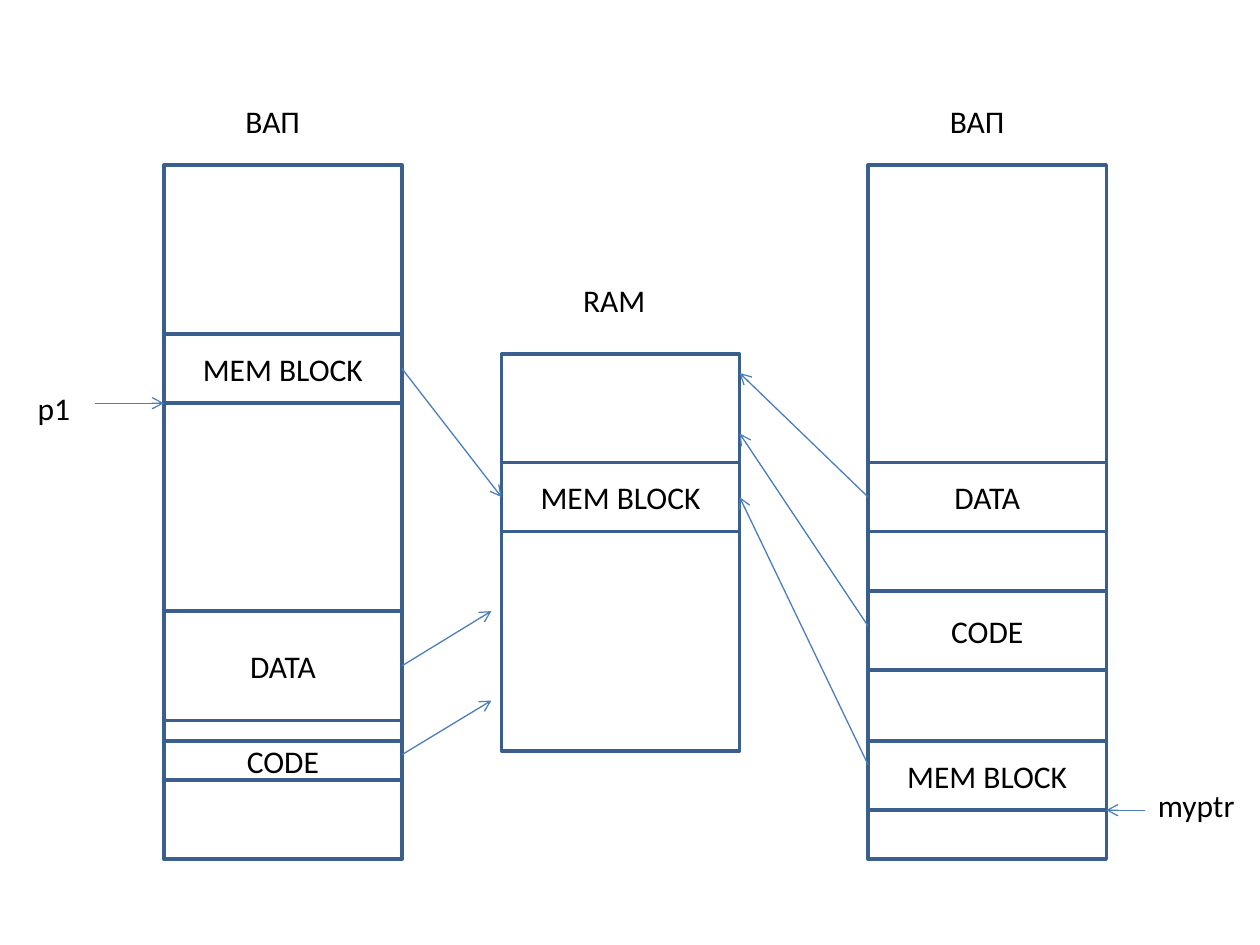
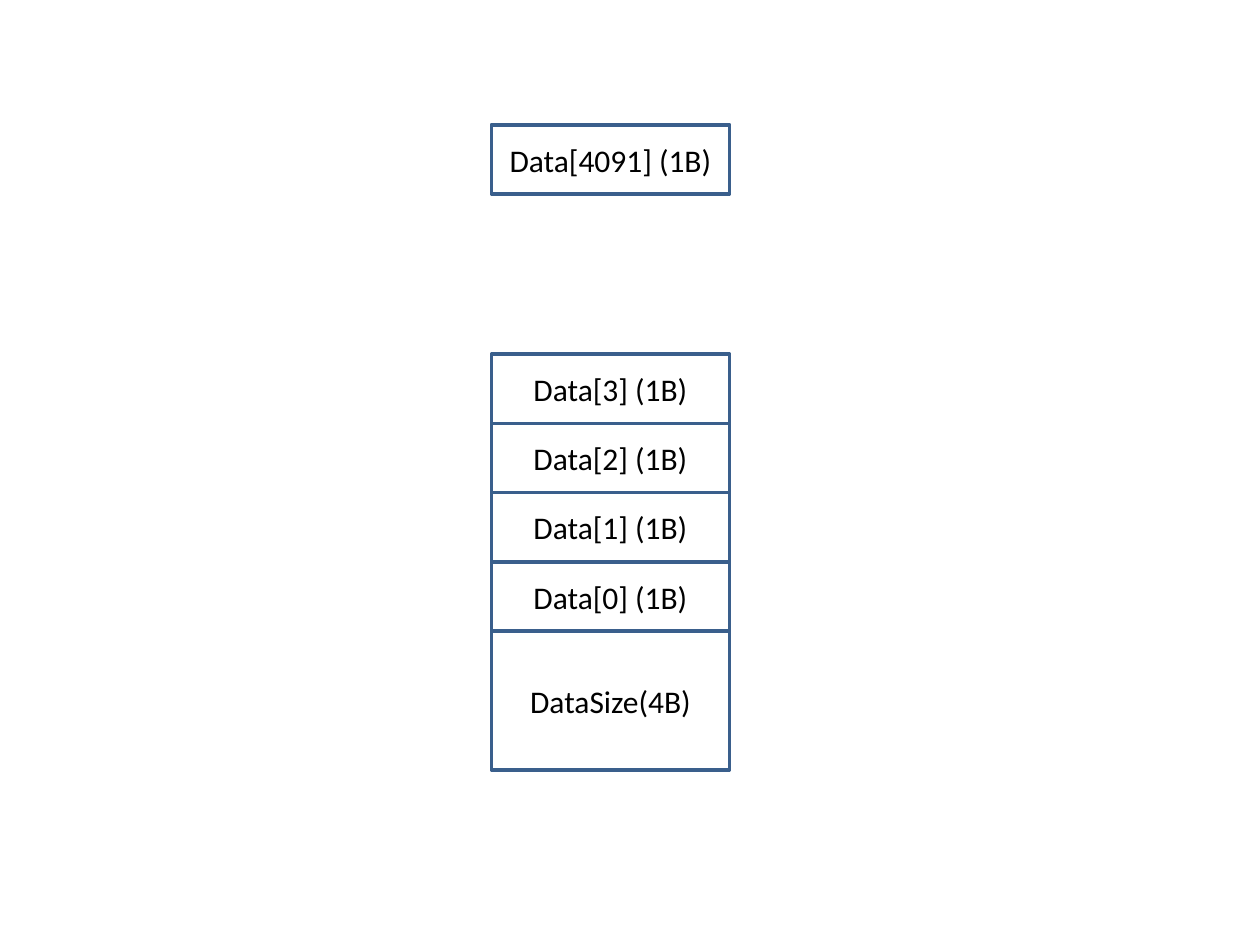
"""Build two slides on a memory block shared by two address spaces and on its layout."""
from lxml import etree
from pptx import Presentation
from pptx.dml.color import RGBColor
from pptx.enum import shapes, text
from pptx.oxml import ns
from pptx.util import Inches, Pt

BOX_LINE = "3A5F8C"
ARROW_LINE = "4B7EBC"
TEXT_COLOUR = "000000"
COLUMN_WIDTH = 1.89
BLOCK_HEIGHT = 0.55


def write_text(shape, words, alignment):
    paragraph = shape.text_frame.paragraphs[0]
    paragraph.text = words
    paragraph.alignment = alignment
    paragraph.font.name = "Calibri"
    paragraph.font.size = Pt(18)
    paragraph.font.color.rgb = RGBColor.from_string(TEXT_COLOUR)


def add_box(slide, words, left, top, height=BLOCK_HEIGHT):
    box = slide.shapes.add_shape(
        shapes.MSO_SHAPE.RECTANGLE,
        Inches(left), Inches(top), Inches(COLUMN_WIDTH), Inches(height))
    box.shadow.inherit = False
    box.fill.background()
    box.line.color.rgb = RGBColor.from_string(BOX_LINE)
    box.line.width = Pt(2)
    if words:
        box.text_frame.vertical_anchor = text.MSO_ANCHOR.MIDDLE
        write_text(box, words, text.PP_ALIGN.CENTER)
    return box


presentation = Presentation()
presentation.slide_width = Inches(10)
presentation.slide_height = Inches(7.5)
blank_layout = presentation.slide_layouts[6]

slide = presentation.slides.add_slide(blank_layout)
first_left, ram_left, second_left = 1.3, 3.98, 6.89
first_right = first_left + COLUMN_WIDTH
ram_right = ram_left + COLUMN_WIDTH
second_right = second_left + COLUMN_WIDTH

for left, top, height in [
    (first_left, 1.31, 5.51),
    (ram_left, 2.81, 3.15),
    (second_left, 1.31, 5.51),
]:
    add_box(slide, "", left, top, height)

first_block = add_box(slide, "MEM BLOCK", first_left, 2.65)
first_data = add_box(slide, "DATA", first_left, 4.85, 0.87)
add_box(slide, "CODE", first_left, 5.88, 0.31)
ram_block = add_box(slide, "MEM BLOCK", ram_left, 3.67)
second_data = add_box(slide, "DATA", second_left, 3.67)
add_box(slide, "CODE", second_left, 4.69, 0.63)
add_box(slide, "MEM BLOCK", second_left, 5.88)

for words, left, top, width in [
    ("ВАП", first_left + 0.55, 0.76, 0.64),
    ("RAM", ram_left + 0.55, 2.18, 0.7),
    ("ВАП", second_left + 0.55, 0.76, 0.64),
    ("p1", 0.2, 3.04, 0.46),
    ("myptr", 9.09, 6.19, 0.82),
]:
    label = slide.shapes.add_textbox(Inches(left), Inches(top), Inches(width), Inches(0.4))
    label.text_frame.word_wrap = False
    label.text_frame.auto_size = text.MSO_AUTO_SIZE.SHAPE_TO_FIT_TEXT
    write_text(label, words, text.PP_ALIGN.LEFT)

for start_x, start_y, end_x, end_y, start_join, end_join in [
    (first_right, 2.92, ram_left, 3.95, (first_block, 3), (ram_block, 1)),
    (first_right, 5.29, 3.9, 4.85, (first_data, 3), None),
    (first_right, 5.99, 3.9, 5.56, None, None),
    (second_left, 3.95, ram_right, 2.96, (second_data, 1), None),
    (second_left, 4.97, ram_right, 3.44, None, None),
    (second_left, 6.07, ram_right, 3.95, None, (ram_block, 3)),
    (0.75, 3.2, first_left, 3.2, None, None),
    (9.09, 6.43, second_right, 6.43, None, None),
]:
    arrow = slide.shapes.add_connector(
        shapes.MSO_CONNECTOR.STRAIGHT,
        Inches(start_x), Inches(start_y), Inches(end_x), Inches(end_y))
    if start_join:
        arrow.begin_connect(*start_join)
    if end_join:
        arrow.end_connect(*end_join)
    arrow.line.color.rgb = RGBColor.from_string(ARROW_LINE)
    arrow.line.width = Pt(0.75)
    properties = arrow.element.spPr
    etree.SubElement(properties.find(ns.qn("a:ln")), ns.qn("a:tailEnd"), type="arrow")
    etree.SubElement(properties, ns.qn("a:effectLst"))

slide = presentation.slides.add_slide(blank_layout)
layout_left, size_top = 3.9, 5.01
add_box(slide, "DataSize(4B)", layout_left, size_top, 2 * BLOCK_HEIGHT)
for index in range(4):
    add_box(slide, f"Data[{index}] (1B)", layout_left, size_top - (index + 1) * BLOCK_HEIGHT)
add_box(slide, "Data[4091] (1B)", layout_left, 0.99)

presentation.save("out.pptx")
